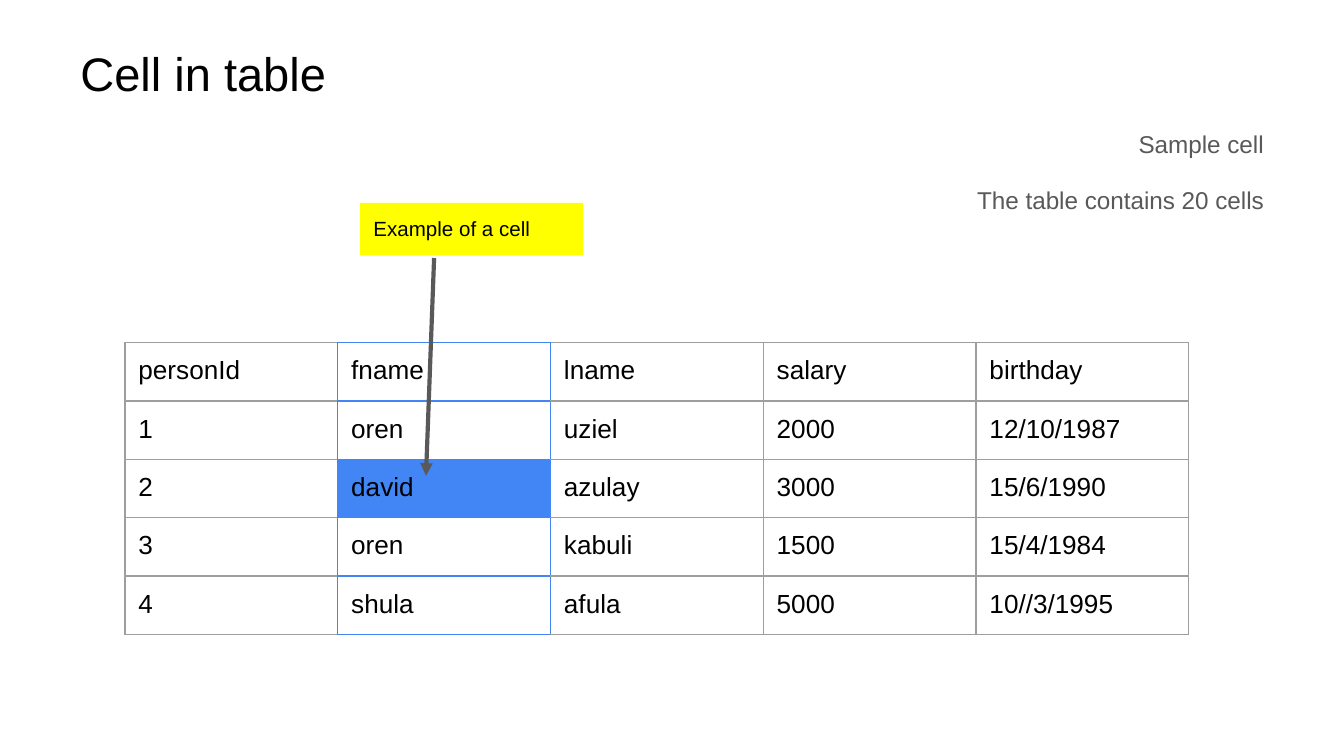
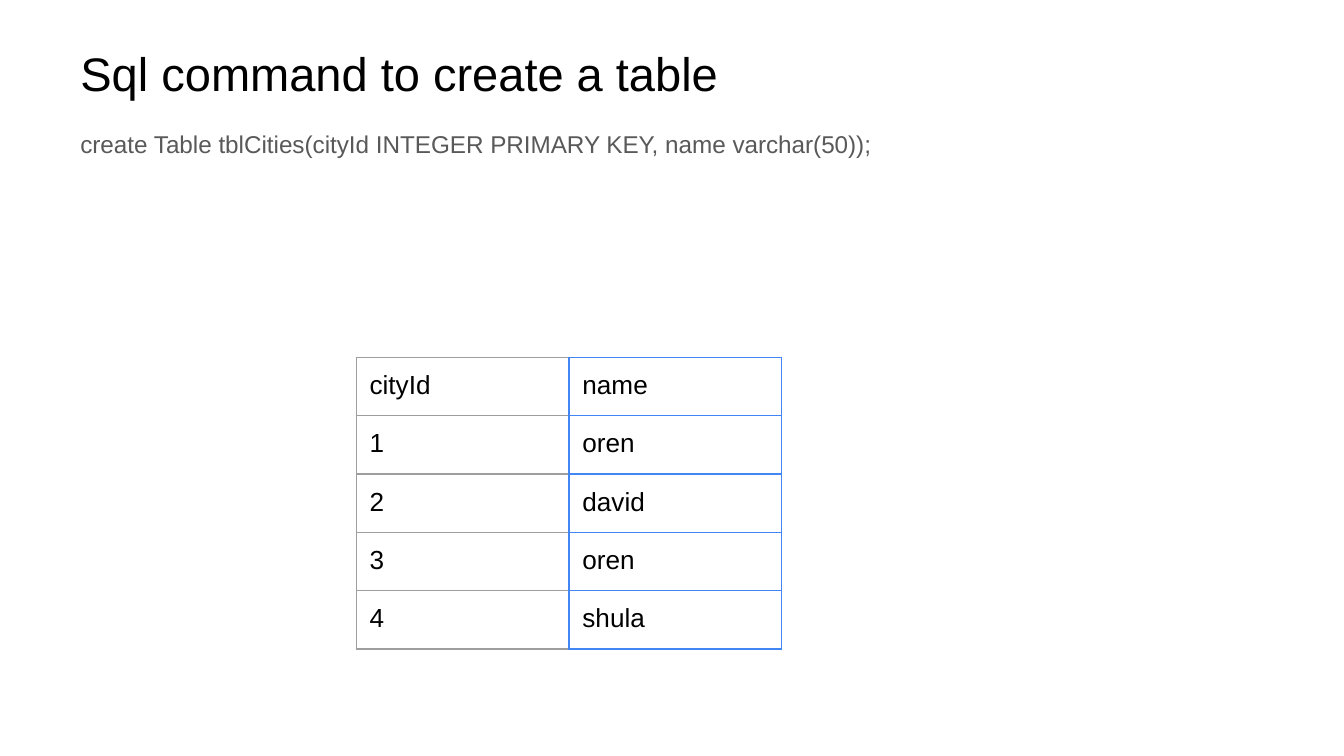
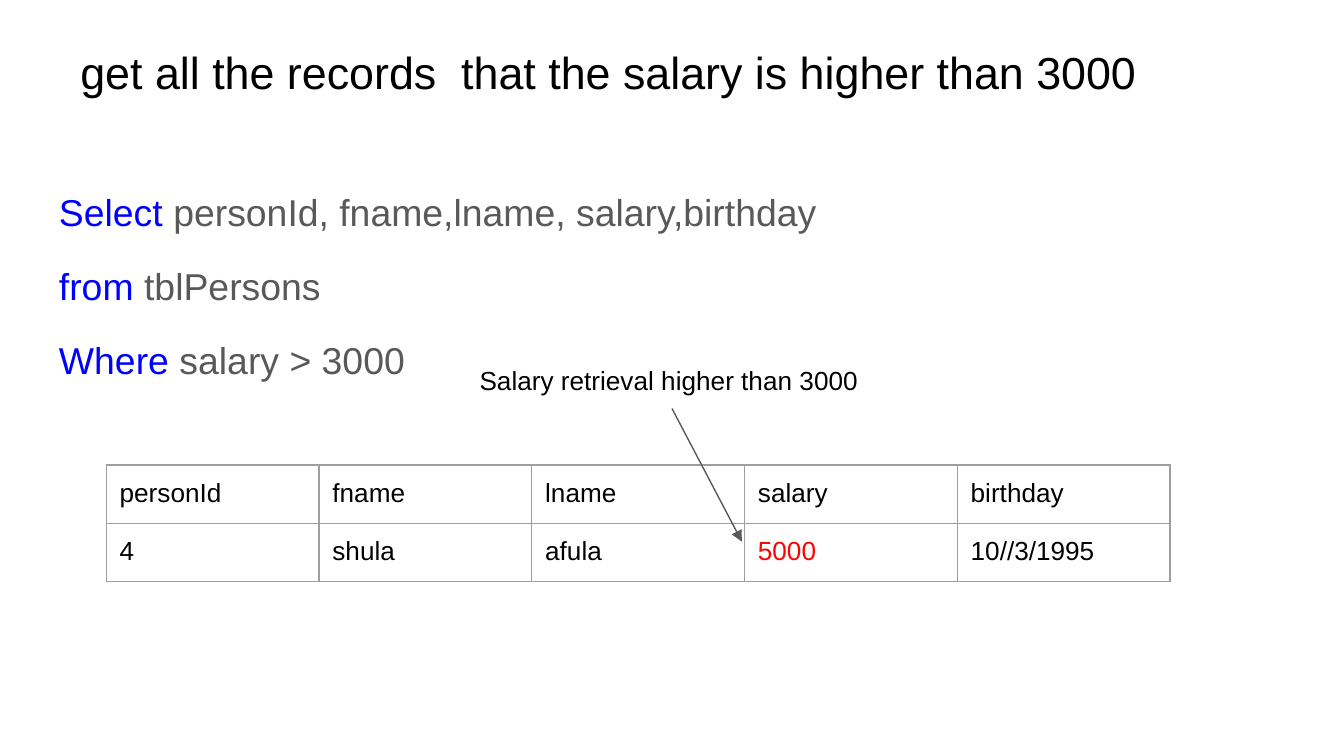
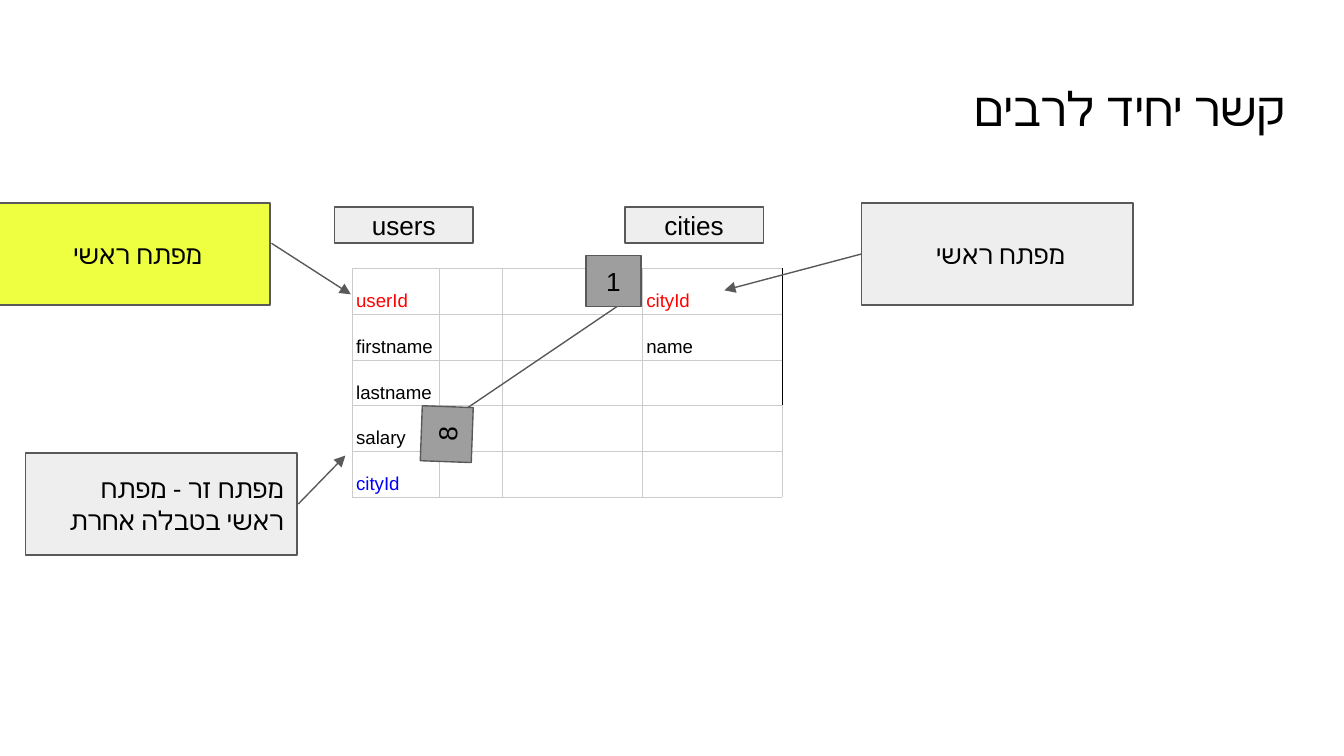
from lxml import etree
from pptx import Presentation
from pptx.dml.color import RGBColor
from pptx.enum import shapes, text
from pptx.oxml.ns import qn
from pptx.util import Inches, Pt

FONT = "Arial"
BLACK = RGBColor(0x00, 0x00, 0x00)
WHITE = RGBColor(0xFF, 0xFF, 0xFF)
SLATE = RGBColor(0x59, 0x59, 0x59)
GREY = RGBColor(0x9E, 0x9E, 0x9E)
SILVER = RGBColor(0xCC, 0xCC, 0xCC)
PALE = RGBColor(0xEE, 0xEE, 0xEE)
SKY = RGBColor(0x42, 0x85, 0xF4)
BLUE = RGBColor(0x00, 0x00, 0xFF)
RED = RGBColor(0xFF, 0x00, 0x00)
YELLOW = RGBColor(0xFF, 0xFF, 0x00)
LIME = RGBColor(0xEE, 0xFF, 0x41)
LEFT, CENTER, RIGHT = text.PP_ALIGN.LEFT, text.PP_ALIGN.CENTER, text.PP_ALIGN.RIGHT
TOP, MIDDLE, BOTTOM = text.MSO_ANCHOR.TOP, text.MSO_ANCHOR.MIDDLE, text.MSO_ANCHOR.BOTTOM

SLIDE_WIDTH = 10
SLIDE_HEIGHT = SLIDE_WIDTH * 9 / 16
TITLE_AT = (0.5, 0.23, 9, 0.63)
BODY_AT = (0.5, 0.83, 9, 4.07)
GRID_FRAME = 3.28
FIELD_WIDTH = 19 / 12
RECORD_HEIGHT = 5 / 12

PERSON_FIELDS = ["personId", "fname", "lname", "salary", "birthday"]
PERSONS = [
    ["1", "oren", "uziel", "2000", "12/10/1987"],
    ["2", "david", "azulay", "3000", "15/6/1990"],
    ["3", "oren", "kabuli", "1500", "15/4/1984"],
    ["4", "shula", "afula", "5000", "10//3/1995"],
]
CITY_FIELDS = ["cityId", "name"]
CITIES = [person[:2] for person in PERSONS]
CELL_NOTES = ["Sample cell", "The table contains 20 cells"]
CREATE_COMMAND = "create Table tblCities(cityId INTEGER PRIMARY KEY, name varchar(50));"
SALARY_QUERY = [
    [("Select", BLUE), (" personId, fname,lname, salary,birthday", SLATE)],
    [("from", BLUE), (" tblPersons", SLATE)],
    [("Where", BLUE), (" salary > 3000", SLATE)],
]
RELATION = [
    ["userId", "", "", "cityId"],
    ["firstname", "", "", "name"],
    ["lastname", "", "", ""],
    ["salary", "", "", ""],
    ["cityId", "", "", ""],
]
RELATION_COLOURS = {(0, 0): RED, (0, 3): RED, (4, 0): BLUE}
KEY_ARROWS = [
    ((6.41, 1.89), (5.39, 2.16)),
    ((2.22, 3.75), (2.57, 3.39)),
    ((2.02, 1.81), (2.61, 2.19)),
]
CARDINALITIES = [("1", (4.36, 1.9, 0.41, 0.38), 0), ("8", (3.12, 3.04, 0.41, 0.38), 272.1)]
KEY_LABELS = [
    ("מפתח זר - מפתח ראשי בטבלה אחרת ", (0.19, 3.37, 2.02, 0.76), PALE, RIGHT),
    ("מפתח ראשי ", (6.41, 1.51, 2.02, 0.76), PALE, CENTER),
    ("מפתח ראשי ", (-0.01, 1.51, 2.02, 0.76), LIME, CENTER),
]
TABLE_NAMES = [("users", (2.49, 1.54, 1.03, 0.27)), ("cities", (4.65, 1.54, 1.03, 0.27))]


def inches(values):
    return [Inches(value) for value in values]


def write(frame, content, size=14, colour=BLACK, align=LEFT, rtl=False, spacing=None, before=0):
    paragraphs = [content] if isinstance(content, str) else content
    for index, runs in enumerate(paragraphs):
        paragraph = frame.add_paragraph() if index else frame.paragraphs[0]
        paragraph.alignment = align
        if rtl:
            paragraph._p.get_or_add_pPr().set("rtl", "1")
        if spacing:
            paragraph.line_spacing = spacing
        if index and before:
            paragraph.space_before = Pt(before)
        for words, run_colour in [(runs, colour)] if isinstance(runs, str) else runs:
            run = paragraph.add_run()
            run.text = words
            run.font.size = Pt(size)
            run.font.name = FONT
            run.font.color.rgb = run_colour


def set_frame(frame, anchor):
    frame.word_wrap = True
    frame.vertical_anchor = anchor
    frame.margin_left = frame.margin_right = Inches(0.1)
    frame.margin_top = frame.margin_bottom = Inches(0.1)


def add_text(slide, content, at, **style):
    frame = slide.shapes.add_textbox(*inches(at)).text_frame
    set_frame(frame, TOP)
    write(frame, content, **style)


def add_box(slide, content, at, fill, outline=SLATE, rotation=0, anchor=MIDDLE, **style):
    box = slide.shapes.add_shape(shapes.MSO_SHAPE.RECTANGLE, *inches(at))
    box.shadow.inherit = False
    box.rotation = rotation
    box.fill.solid()
    box.fill.fore_color.rgb = fill
    if outline is None:
        box.line.fill.background()
    else:
        box.line.color.rgb = outline
        box.line.width = Pt(0.75)
    set_frame(box.text_frame, anchor)
    write(box.text_frame, content, **style)


def add_line(slide, start, end, width=0.75, arrow=True):
    line = slide.shapes.add_connector(shapes.MSO_CONNECTOR.STRAIGHT, *inches(start + end))
    line.line.color.rgb = SLATE
    line.line.width = Pt(width)
    if arrow:
        etree.SubElement(line.line._get_or_add_ln(), qn("a:tailEnd"), type="triangle")
    etree.SubElement(line._element.spPr, qn("a:effectLst"))


def set_borders(cell, colours, width):
    properties = cell._tc.get_or_add_tcPr()
    for index, side in enumerate("LRTB"):
        edge = etree.Element(qn(f"a:ln{side}"), w=str(Pt(width)))
        fill = etree.SubElement(edge, qn("a:solidFill"))
        etree.SubElement(fill, qn("a:srgbClr"), val=str(colours[side]))
        properties.insert(index, edge)


def add_grid(slide, rows, corner, widths, height, edges, fills={}, colours={},
             margins=(0.1, 0.1), border=0.75, anchor=TOP, **style):
    size = (GRID_FRAME, GRID_FRAME)
    holder = slide.shapes.add_table(len(rows), len(widths), *inches(corner + size))
    grid = holder.table
    grid.first_row = grid.horz_banding = False
    for column, width in zip(grid.columns, widths):
        column.width = Inches(width)
    for r, row in enumerate(rows):
        grid.rows[r].height = Inches(height)
        for c, value in enumerate(row):
            cell = grid.cell(r, c)
            cell.margin_left = cell.margin_right = Inches(margins[0])
            cell.margin_top = cell.margin_bottom = Inches(margins[1])
            cell.vertical_anchor = anchor
            if (r, c) in fills:
                cell.fill.solid()
                cell.fill.fore_color.rgb = fills[r, c]
            else:
                cell.fill.background()
            set_borders(cell, edges(r, c), border)
            if value:
                write(cell.text_frame, value, colour=colours.get((r, c), BLACK), **style)
    holder.width = holder.height = Inches(GRID_FRAME)


def add_records(slide, rows, corner, marked=None, **options):
    def edges(r, c):
        sides = dict.fromkeys("LRTB", GREY)
        if c == marked:
            sides = dict.fromkeys("LRTB", SKY)
        elif marked is not None and c == marked - 1:
            sides["R"] = SKY
        elif marked is not None and c == marked + 1:
            sides["L"] = SKY
        return sides

    add_grid(slide, rows, corner, [FIELD_WIDTH] * len(rows[0]), RECORD_HEIGHT, edges, **options)


def relation_edges(r, c):
    sides = dict.fromkeys("LRTB", SILVER)
    if c == 3 and r < 3:
        sides["R"] = BLACK
    return sides


def add_slide(deck, title, at=TITLE_AT, size=25.2, **style):
    slide = deck.slides.add_slide(deck.slide_layouts[6])
    slide.background.fill.solid()
    slide.background.fill.fore_color.rgb = WHITE
    add_text(slide, title, at, size=size, **style)
    return slide


def build_cell(deck):
    slide = add_slide(deck, "Cell in table")
    add_text(slide, CELL_NOTES, BODY_AT, size=13, colour=SLATE, align=RIGHT, rtl=True,
             spacing=1.15, before=12)
    add_records(slide, [PERSON_FIELDS] + PERSONS, (0.93, 2.55), marked=1, fills={(2, 1): SKY})
    add_box(slide, "Example of a cell", (2.68, 1.51, 1.66, 0.39), YELLOW, outline=None,
            anchor=TOP, size=11)
    add_line(slide, (3.23, 1.92), (3.17, 3.54), width=2.25)


def build_create(deck):
    slide = add_slide(deck, "Sql command to create a table")
    add_text(slide, CREATE_COMMAND, BODY_AT, size=13, colour=SLATE, spacing=1.15)
    add_records(slide, [CITY_FIELDS] + CITIES, (2.65, 2.66), marked=1)


def build_query(deck):
    slide = add_slide(deck, "get all the records  that the salary is higher than 3000", size=24)
    add_text(slide, SALARY_QUERY, (0.34, 1.26, 9.32, 3.74), size=20, spacing=1.15, before=12)
    add_records(slide, [PERSON_FIELDS, PERSONS[3]], (0.79, 3.46), colours={(1, 3): RED})
    add_line(slide, (5, 3.04), (5.52, 4.03))
    add_text(slide, "Salary retrieval higher than 3000", (3.47, 2.61, 3.07, 0.44))


def build_relation(deck):
    slide = add_slide(deck, "קשר יחיד לרבים ", (0.34, 0.49, 9.32, 0.63), align=RIGHT, rtl=True)
    add_grid(slide, RELATION, (2.62, 2), [0.65, 0.47, 1.04, 1.04], 0.22, relation_edges,
             colours=RELATION_COLOURS, margins=(0.03, 0.02), border=0.48, anchor=BOTTOM,
             size=10, spacing=1.15)
    add_line(slide, (3.16, 3.25), (4.74, 2.18), arrow=False)
    for start, end in KEY_ARROWS:
        add_line(slide, start, end)
    for digit, at, rotation in CARDINALITIES:
        add_box(slide, digit, at, GREY, rotation=rotation, align=CENTER)
    for label, at, fill, align in KEY_LABELS:
        add_box(slide, label, at, fill, align=align, rtl=True)
    for name, at in TABLE_NAMES:
        add_box(slide, name, at, PALE, align=CENTER)


def main():
    deck = Presentation()
    deck.slide_width, deck.slide_height = inches((SLIDE_WIDTH, SLIDE_HEIGHT))
    for build in (build_cell, build_create, build_query, build_relation):
        build(deck)
    deck.save("out.pptx")


if __name__ == "__main__":
    main()
